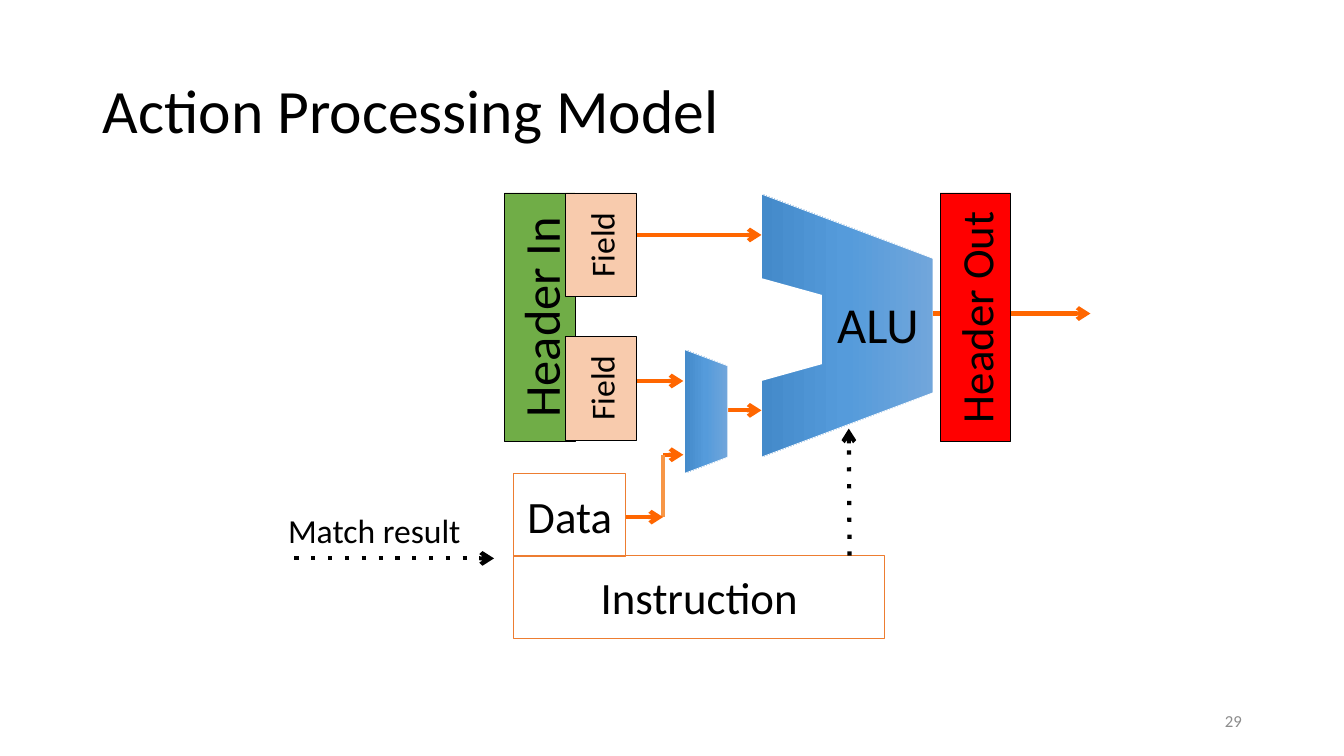
from copy import deepcopy
from dataclasses import dataclass

from lxml import etree
from pptx import Presentation
from pptx.dml.color import RGBColor
from pptx.enum import shapes, text
from pptx.oxml import ns
from pptx.util import Cm, Pt

BLACK = RGBColor(0x00, 0x00, 0x00)
WHITE = RGBColor(0xFF, 0xFF, 0xFF)
GREY = RGBColor(0x8C, 0x8C, 0x8C)
GREEN = RGBColor(0x70, 0xAD, 0x47)
RED = RGBColor(0xFF, 0x00, 0x00)
PEACH = RGBColor(0xF8, 0xCB, 0xAD)
FRAME = RGBColor(0xED, 0x7D, 0x31)
FLOW = RGBColor(0xFF, 0x66, 0x00)
RISER = RGBColor(0xF7, 0x96, 0x46)
BLUES = (RGBColor(0x71, 0xA6, 0xDB), RGBColor(0x55, 0x9B, 0xDB),
         RGBColor(0x44, 0x8A, 0xCA))
FONT = "Calibri"
RECTANGLE = shapes.MSO_SHAPE.RECTANGLE
TRAPEZOID = shapes.MSO_SHAPE.TRAPEZOID
ALIGN = text.PP_ALIGN


@dataclass
class Box:
    """A rectangle in centimetres."""
    left: float
    top: float
    width: float
    height: float

    def offset(self, dx, dy, width, height):
        return Box(self.left + dx, self.top + dy, width, height)

    def lengths(self):
        return [Cm(n) for n in (self.left, self.top, self.width, self.height)]

    def turned(self):
        """The box that covers this one after a quarter turn."""
        shift = (self.width - self.height) / 2
        return self.offset(shift, -shift, self.height, self.width)


def write(shape, words, size, color=BLACK, align=ALIGN.CENTER):
    frame = shape.text_frame
    frame.text = words
    frame.vertical_anchor = text.MSO_ANCHOR.MIDDLE
    para = frame.paragraphs[0]
    para.alignment = align
    font = para.runs[0].font
    font.name, font.size, font.color.rgb = FONT, Pt(size), color
    return para


def add_label(page, box, words, size, color=BLACK, align=ALIGN.LEFT, wrap=False):
    label = page.shapes.add_textbox(*box.lengths())
    label.text_frame.word_wrap = wrap
    return write(label, words, size, color, align)


def add_block(page, kind, box, fill=None, line=None, rotation=0):
    """Add a shape that covers box once it has been rotated."""
    place = box.turned() if rotation else box
    block = page.shapes.add_shape(kind, *place.lengths())
    block.rotation = rotation
    block.shadow.inherit = False
    if fill is None:
        block.fill.background()
    else:
        block.fill.solid()
        block.fill.fore_color.rgb = fill
    if line is None:
        block.line.fill.background()
    else:
        block.line.color.rgb = line
        block.line.width = Pt(0.5)
    return block


def add_funnel(page, box):
    """Add a blue trapezoid that narrows to the right."""
    funnel = add_block(page, TRAPEZOID, box, line=WHITE, rotation=90)
    funnel.adjustments[0] = 0.375
    funnel.fill.gradient()
    funnel.fill.gradient_angle = 270
    stop_list = funnel.element.spPr.find(".//" + ns.qn("a:gsLst"))
    stop_list.append(deepcopy(stop_list[-1]))
    for index, (stop, color) in enumerate(zip(funnel.fill.gradient_stops, BLUES)):
        stop.color.rgb = color
        stop.position = index / 2


def add_line(page, box, start, end, color=FLOW, dotted=False, arrow=True):
    """Join two points given relative to box."""
    ends = [Cm(n) for x, y in (start, end) for n in (box.left + x, box.top + y)]
    line = page.shapes.add_connector(shapes.MSO_CONNECTOR.STRAIGHT, *ends)
    line.line.color.rgb = color
    line.line.width = Pt(3)
    properties = line.element.spPr
    stroke = properties.find(ns.qn("a:ln"))
    if dotted:
        etree.SubElement(stroke, ns.qn("a:prstDash"), val="dot")
    if arrow:
        etree.SubElement(stroke, ns.qn("a:tailEnd"), type="arrow")
    etree.SubElement(properties, ns.qn("a:effectLst"))


def draw_title(page, box):
    para = add_label(page, box, "Action Processing Model", 44, wrap=True)
    para.line_spacing = 0.9


def draw_page_number(page, box):
    add_label(page, box, "29", 12, GREY, ALIGN.RIGHT, wrap=True)


def draw_alu(page, box):
    add_line(page, box, (-4.69, 4.71), (-1.97, 4.71))
    add_funnel(page, box)
    notch = add_block(page, TRAPEZOID, box.offset(0, 2.12, 1.52, 2.59), WHITE, rotation=90)
    notch.adjustments[0] = 0.277
    add_line(page, box, (-4.69, 1.03), (0, 1.03))
    add_line(page, box, (-0.85, 5.45), (0, 5.45))
    add_line(page, box, (box.width, 3.01), (8.29, 3.01))
    add_label(page, box.offset(1.66, 2.37, 2.62, 1.8), "ALU", 36)


def draw_header(page, box, words, size, fill):
    write(add_block(page, RECTANGLE, box, fill, BLACK, 270), words, size)


def draw_header_in(page, box):
    draw_header(page, box, "Header In", 36, GREEN)
    for dy in (0, 3.61):
        draw_header(page, box.offset(1.55, dy, 1.78, 2.62), "Field", 24, PEACH)


def draw_instruction(page, box):
    """Draw the instruction, its control arrow and the match result."""
    write(add_block(page, RECTANGLE, box, line=FRAME), "Instruction", 32)
    add_line(page, box, (8.46, 0), (8.44, -3.2), BLACK, dotted=True)
    add_line(page, box, (-5.53, 0.07), (-0.5, 0.07), BLACK, dotted=True)
    add_label(page, box.offset(-5.94, -1.27, 4.93, 1.27), "Match result", 24)


def draw_data(page, box):
    """Draw the data block and its route up to the selector."""
    middle, bend, entry = 1.09, box.width + 0.94, -0.48
    add_line(page, box, (bend, entry), (bend + 0.51, entry))
    add_line(page, box, (bend, entry), (bend, middle), RISER, arrow=False)
    add_line(page, box, (box.width, middle), (bend, middle))
    write(add_block(page, RECTANGLE, box, line=FRAME), "Data", 32)


def main():
    deck = Presentation()
    deck.slide_width, deck.slide_height = Cm(33.87), Cm(19.05)
    page = deck.slides.add_slide(deck.slide_layouts[6])
    draw_alu(page, Box(19.19, 4.89, 4.32, 6.63))
    draw_instruction(page, Box(12.95, 14, 9.35, 2.08))
    draw_title(page, Box(2.34, 1.02, 29.21, 3.68))
    draw_page_number(page, Box(23.93, 17.65, 7.62, 1.02))
    draw_header_in(page, Box(12.71, 4.86, 1.78, 6.27))
    draw_header(page, Box(23.69, 4.86, 1.78, 6.27), "Header Out", 32, RED)
    add_funnel(page, Box(17.25, 8.81, 1.09, 3.12))
    draw_data(page, Box(12.95, 11.94, 2.82, 2.08))
    deck.save("out.pptx")


if __name__ == "__main__":
    main()
